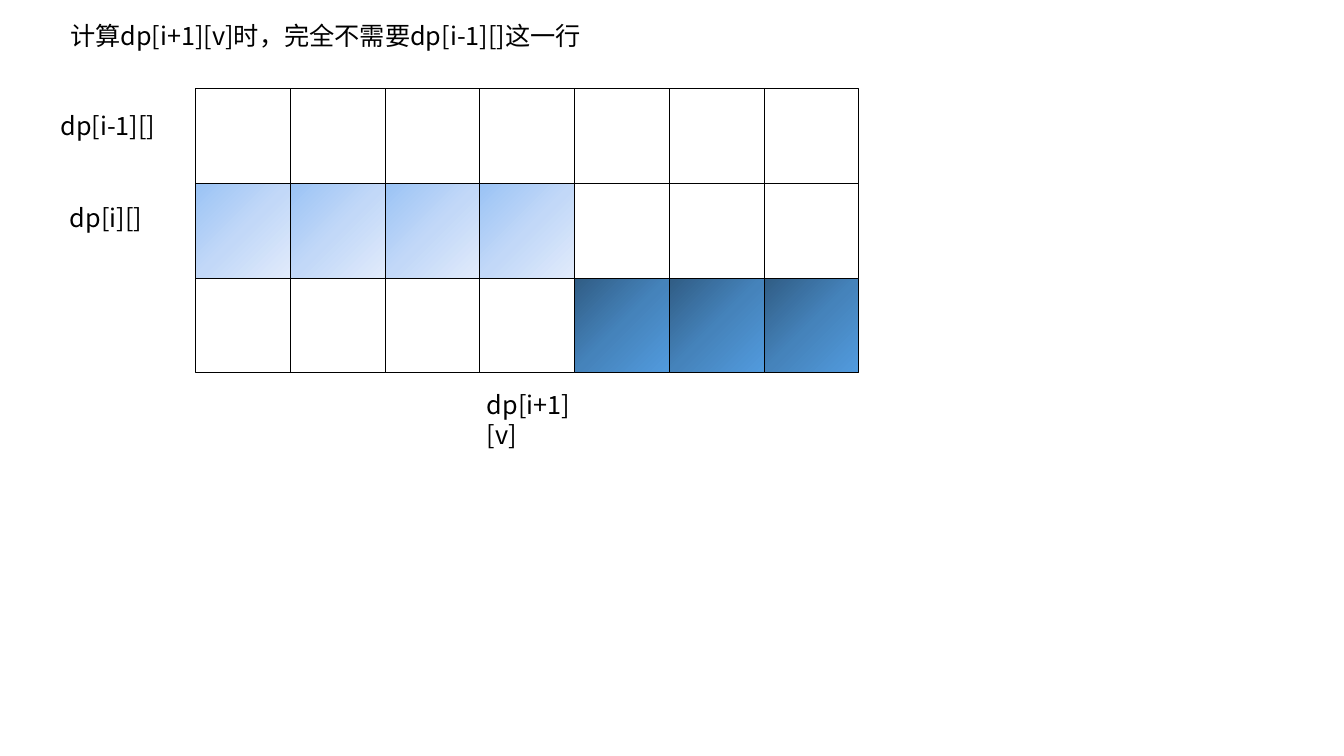
from copy import deepcopy

from pptx import Presentation
from pptx.dml.color import RGBColor
from pptx.enum.shapes import MSO_SHAPE
from pptx.enum.text import MSO_ANCHOR, MSO_AUTO_SIZE, PP_ALIGN
from pptx.oxml.ns import qn
from pptx.util import Inches, Pt

FONT = "Noto Sans CJK SC"
BLACK = RGBColor(0x00, 0x00, 0x00)
LIGHT_BLUES = (RGBColor(0x9A, 0xC3, 0xF5), RGBColor(0xC2, 0xD8, 0xF8), RGBColor(0xE1, 0xEB, 0xFB))
DARK_BLUES = (RGBColor(0x30, 0x5C, 0x84), RGBColor(0x45, 0x83, 0xBB), RGBColor(0x52, 0x9B, 0xDE))

CELL = 0.94
GRID_LEFT, GRID_TOP = 1.94, 0.88
COLUMNS, ROWS = 7, 3
SPLIT_COLUMN = 4

# Text, then left, top, width and height in grid columns and rows
TITLE = ("计算dp[i+1][v]时，完全不需要dp[i-1][]这一行", -1.43, -0.77, 6.34, 0.43)
LABELS = (
    ("dp[i-1][]", -1.53, 0.18, 1.24, 0.43),
    ("dp[i][]", -1.43, 1.15, 1.03, 0.43),
    ("dp[i+1][v]", 2.97, 3.12, 1.28, 0.43),
)


def grid_area(column, row, columns=1, rows=1):
    """Return left, top, width and height of an area of the grid."""
    return (Inches(GRID_LEFT + column * CELL), Inches(GRID_TOP + row * CELL),
            Inches(columns * CELL), Inches(rows * CELL))


def fill_gradient(shape, colours):
    """Fill a shape with evenly spaced colours, from top left to bottom right."""
    shape.fill.gradient()
    shape.fill.gradient_angle = 315
    stop_list = next(shape._element.iter(qn("a:gsLst")))
    while len(stop_list) < len(colours):
        stop_list.append(deepcopy(stop_list[0]))
    for index, (stop, colour) in enumerate(zip(shape.fill.gradient_stops, colours)):
        stop.position = index / (len(colours) - 1)
        stop.color.rgb = colour


def cell_colours(column, row):
    """Return the gradient of a state cell, or None for an empty cell."""
    if row == 1 and column < SPLIT_COLUMN:
        return LIGHT_BLUES
    if row == 2 and column >= SPLIT_COLUMN:
        return DARK_BLUES
    return None


def add_cell(page, column, row):
    """Draw one outlined cell of the state grid."""
    cell = page.shapes.add_shape(MSO_SHAPE.RECTANGLE, *grid_area(column, row))
    cell.shadow.inherit = False
    cell.line.color.rgb = BLACK
    cell.line.width = Pt(0.75)
    colours = cell_colours(column, row)
    if colours:
        fill_gradient(cell, colours)
    else:
        cell.fill.background()


def write_text(box, text):
    """Put one left-aligned line of black text into a box."""
    frame = box.text_frame
    frame.word_wrap = True
    frame.auto_size = MSO_AUTO_SIZE.SHAPE_TO_FIT_TEXT
    frame.vertical_anchor = MSO_ANCHOR.TOP
    frame.text = text
    para = frame.paragraphs[0]
    para.alignment = PP_ALIGN.LEFT
    para.line_spacing = 1.0
    para.space_before = Pt(0)
    font = para.font
    font.name, font.size = FONT, Pt(18)
    font.color.rgb = BLACK
    latin = next(para._p.iter(qn("a:latin")))
    east_asian = latin.makeelement(qn("a:ea"), {"typeface": FONT})
    latin.addnext(east_asian)


def add_title(page, text, *place):
    """Move and fill the title placeholder."""
    title = page.shapes.title
    title.left, title.top, title.width, title.height = grid_area(*place)
    write_text(title, text)


def add_label(page, text, *place):
    """Add a text box that names a part of the grid."""
    write_text(page.shapes.add_textbox(*grid_area(*place)), text)


def main():
    """Build the slide and save the deck."""
    deck = Presentation()
    deck.slide_width, deck.slide_height = Inches(13.33), Inches(7.5)
    page = deck.slides.add_slide(deck.slide_layouts.get_by_name("Title Only"))
    add_title(page, *TITLE)
    for row in range(ROWS):
        for column in range(COLUMNS):
            add_cell(page, column, row)
    for label in LABELS:
        add_label(page, *label)
    deck.save("out.pptx")


main()
